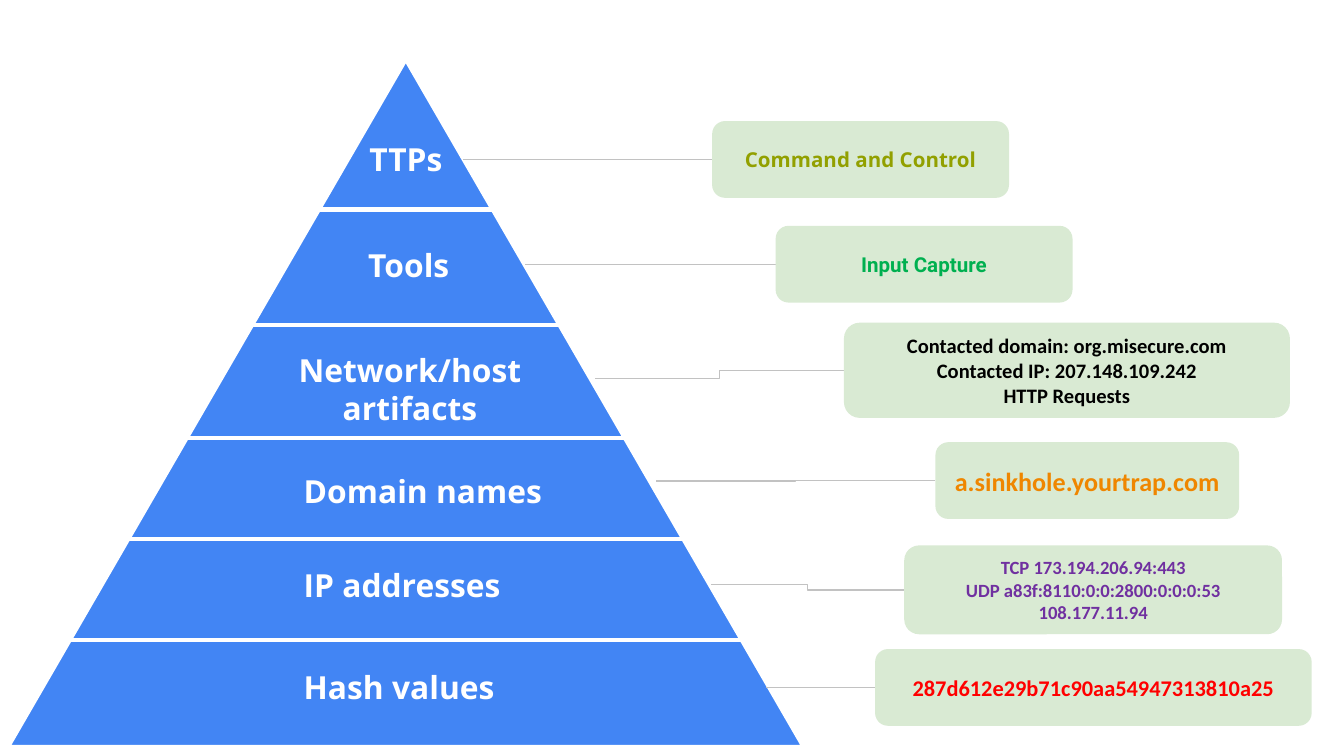
from lxml.etree import SubElement
from pptx import Presentation
from pptx.dml.color import RGBColor
from pptx.enum.shapes import MSO_CONNECTOR, MSO_SHAPE
from pptx.enum.text import MSO_ANCHOR, PP_ALIGN
from pptx.oxml.ns import qn
from pptx.util import Cm, Pt

COLORS = {
    "blue": "4285F4", "white": "FFFFFF", "grey": "C2C2C2", "mint": "D9EAD3",
    "olive": "92A000", "green": "00B050", "black": "000000",
    "orange": "EF8600", "purple": "7030A0", "red": "FF0000",
}
INSETS = {
    "margin_left": Cm(0.25), "margin_right": Cm(0.25),
    "margin_top": Cm(0.25), "margin_bottom": Cm(0.25), "word_wrap": True,
}

PYRAMID_BOX = (0.15, 1.12, 15.04, 13)
DIVIDERS = [2.84, 5.03, 7.16, 9.07, 10.97]
LEVELS = [
    ("TTPs", 6.58, 1.27, 2.24, 1.24, PP_ALIGN.LEFT),
    ("Tools", 6.56, 3.27, 2.24, 1.24, PP_ALIGN.LEFT),
    ("Network/host artifacts", 4.83, 5.26, 5.54, 1.96, PP_ALIGN.CENTER),
    ("Domain names", 5.34, 7.54, 5.69, 1.24, PP_ALIGN.LEFT),
    ("IP addresses", 5.34, 9.32, 5.69, 1.24, PP_ALIGN.LEFT),
    ("Hash values", 5.34, 11.25, 5.69, 1.24, PP_ALIGN.LEFT),
]
CALLOUTS = [
    ((13.46, 2.29, 5.61, 1.45), (8.76, 3.02), ["Command and Control"],
     "Open Sans", 11, "olive"),
    ((14.66, 4.27, 5.61, 1.45), (9.93, 5), ["Input Capture"],
     "Roboto", 11, "green"),
    ((15.95, 6.1, 8.43, 1.8), (11.25, 7.16),
     ["Contacted domain: org.misecure.com", "Contacted IP: 207.148.109.242",
      "HTTP Requests"], "Calibri", 11, "black"),
    ((17.68, 8.36, 5.74, 1.45), (12.4, 9.09), ["a.sinkhole.yourtrap.com"],
     "Calibri", 14, "orange"),
    ((17.09, 10.31, 7.14, 1.68), (13.44, 11.05),
     ["TCP 173.194.206.94:443", "UDP a83f:8110:0:0:2800:0:0:0:53",
      "108.177.11.94"], "Calibri", 10, "purple"),
    ((16.54, 12.27, 8.25, 1.45), (14.48, 13),
     ["287d612e29b71c90aa54947313810a25"], "Calibri", 12, "red"),
]


def rgb(name):
    return RGBColor.from_string(COLORS[name])


def apply(target, values):
    for name, value in values.items():
        setattr(target, name, value)


def write(sp, lines, font, size, color, align):
    tf = sp.text_frame
    apply(tf, INSETS)
    for i, line in enumerate(lines):
        p = tf.add_paragraph() if i else tf.paragraphs[0]
        p.alignment = align
        r = p.add_run()
        r.text = line
        apply(r.font, {"name": font, "size": Pt(size), "bold": True})
        r.font.color.rgb = rgb(color)


def add_shape(s, kind, box, fill):
    sp = s.shapes.add_shape(kind, *map(Cm, box))
    sp.shadow.inherit = False
    sp.fill.solid()
    sp.fill.fore_color.rgb = rgb(fill)
    sp.line.fill.background()
    return sp


def add_line(s, kind, start, end, color, width):
    line = s.shapes.add_connector(kind, *map(Cm, (*start, *end)))
    line.line.color.rgb = rgb(color)
    line.line.width = Pt(width)
    SubElement(line._element.spPr, qn("a:effectLst"))


def add_pyramid(s, box):
    left, top, width, height = box
    sp = add_shape(s, MSO_SHAPE.ISOSCELES_TRIANGLE, box, "blue")
    sp.line.color.rgb = rgb("white")
    sp.line.width = Pt(2.25)
    center = left + width / 2
    for dy in DIVIDERS:
        half = width / 2 * dy / height
        y = top + dy
        add_line(s, MSO_CONNECTOR.STRAIGHT, (center - half, y),
                 (center + half, y), "white", 2.25)
    for text, dx, dy, w, h, align in LEVELS:
        tb = s.shapes.add_textbox(*map(Cm, (left + dx, top + dy, w, h)))
        write(tb, [text], "Open Sans", 17, "white", align)


def add_callout(s, box, start, lines, font, size, color):
    left, top, _, height = box
    add_line(s, MSO_CONNECTOR.ELBOW, start, (left, top + height / 2),
             "grey", 0.75)
    sp = add_shape(s, MSO_SHAPE.ROUNDED_RECTANGLE, box, "mint")
    write(sp, lines, font, size, color, PP_ALIGN.CENTER)
    sp.text_frame.vertical_anchor = MSO_ANCHOR.MIDDLE


def main():
    prs = Presentation()
    apply(prs, {"slide_width": Cm(25.4), "slide_height": Cm(14.29)})
    s = prs.slides.add_slide(prs.slide_layouts[6])
    add_pyramid(s, PYRAMID_BOX)
    for callout in CALLOUTS:
        add_callout(s, *callout)
    prs.save("out.pptx")


if __name__ == "__main__":
    main()
